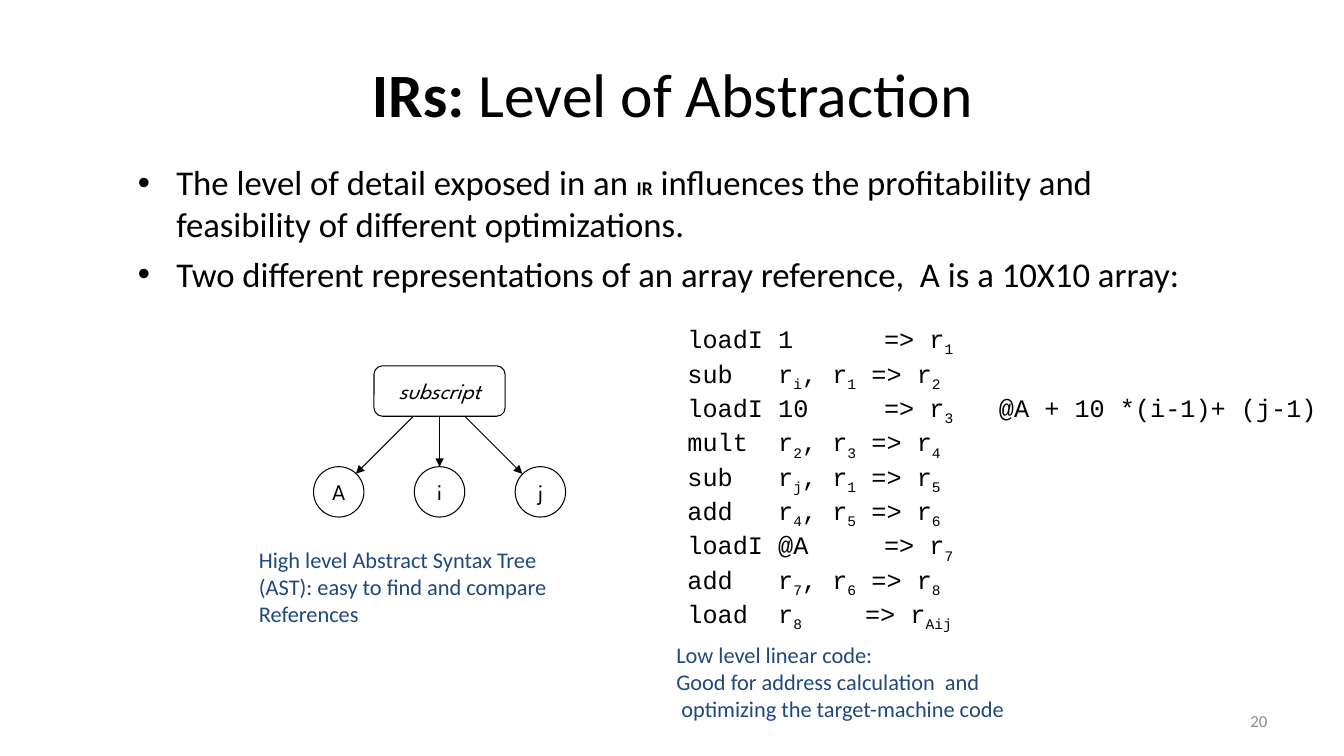
from lxml.etree import SubElement
from pptx import Presentation
from pptx.dml.color import RGBColor
from pptx.enum.shapes import MSO_CONNECTOR as Connector, MSO_SHAPE as Shape
from pptx.enum.text import MSO_ANCHOR as Anchor, MSO_AUTO_SIZE as AutoSize, PP_ALIGN as Align
from pptx.oxml.ns import qn
from pptx.util import Inches, Pt

COLORS = {"ink": "000000", "caption": "1F497D", "number": "8C8C8C"}
BODY, CODE, NODE = "Calibri", "Courier New", "League Spartan"


class Slide:
    """Holds the style and the current page."""

    def __init__(self, page):
        self.page = page

    def color(self, name):
        return RGBColor.from_string(COLORS[name])

    def style(self, font, size, name=BODY, color="ink"):
        font.size, font.name = Pt(size), name
        font.color.rgb = self.color(color)

    def text(self, at, paragraphs, size, name=BODY, color="ink", align=Align.LEFT,
             anchor=Anchor.TOP, wrap=True, grow=False, bullets=False):
        """Each paragraph is a list of (text, font settings) spans."""
        box = self.page.shapes.add_textbox(*map(Inches, at))
        frame = box.text_frame
        frame.word_wrap, frame.vertical_anchor = wrap, anchor
        frame.auto_size = AutoSize.SHAPE_TO_FIT_TEXT if grow else AutoSize.NONE
        for index, spans in enumerate(paragraphs):
            para = frame.add_paragraph() if index else frame.paragraphs[0]
            para.alignment = align
            if bullets:
                self.bullet(para)
                if index:
                    para.space_before = Pt(6)
            self.style(para.font, size, name, color)
            for content, settings in spans:
                span = para.add_run()
                span.text = content
                for key, value in settings.items():
                    if key == "baseline":
                        span.font._element.set(key, value)
                    else:
                        setattr(span.font, key, value)

    def bullet(self, para):
        properties = para._p.get_or_add_pPr()
        properties.set("marL", str(Inches(0.38)))
        properties.set("indent", str(Inches(-0.38)))
        SubElement(properties, qn("a:buFont"), typeface="Arial")
        SubElement(properties, qn("a:buChar"), char="•")

    def node(self, kind, at, label, italic=False):
        shape = self.page.shapes.add_shape(kind, *map(Inches, at))
        shape.shadow.inherit = False
        shape.fill.background()
        shape.line.color.rgb, shape.line.width = self.color("ink"), Pt(0.75)
        frame = shape.text_frame
        frame.word_wrap, frame.vertical_anchor = False, Anchor.MIDDLE
        para = frame.paragraphs[0]
        para.text, para.alignment = label, Align.CENTER
        self.style(para.font, 16, NODE)
        para.font.italic = italic

    def arrow(self, start, end):
        line = self.page.shapes.add_connector(
            Connector.STRAIGHT, *map(Inches, start + end))
        line.line.color.rgb, line.line.width = self.color("ink"), Pt(0.75)
        SubElement(line.line._get_or_add_ln(), qn("a:tailEnd"), type="triangle")
        SubElement(line._element.spPr, qn("a:effectLst"))


def plain(*lines):
    return [[(line, {})] for line in lines]


def code_spans(line):
    """Split a line at | marks; every second part is a subscript."""
    return [(part, {"baseline": "-25000"} if index % 2 else {})
            for index, part in enumerate(line.split("|")) if part]


def main():
    deck = Presentation()
    deck.slide_width, deck.slide_height = Inches(13.33), Inches(7.5)
    slide = Slide(deck.slides.add_slide(deck.slide_layouts[6]))

    # Title and bullets
    slide.text((0.67, 0.3, 12, 1.25),
               [[("IRs: ", {"bold": True}), ("Level of Abstraction", {})]],
               44, align=Align.CENTER, anchor=Anchor.MIDDLE)
    slide.text((1.27, 1.55, 10.91, 1.65), [
        [("The level of detail exposed in an ", {}),
         ("IR", {"size": Pt(13.9), "bold": True}),
         (" ", {"italic": True}),
         ("influences the profitability and feasibility of different optimizations.", {})],
        [("Two different representations of an array reference,  A is a 10X10 array:", {})],
    ], 24.8, bullets=True)

    # Syntax tree
    slide.node(Shape.ROUNDED_RECTANGLE, (3.71, 3.63, 1.3, 0.5), "subscript", italic=True)
    for index, label in enumerate("Aij"):
        slide.node(Shape.OVAL, (3.11 + index, 4.63, 0.5, 0.5), label)
    for start, end in (((4.36, 4.13), (4.36, 4.63)),
                       ((4.1, 4.13), (3.53, 4.7)),
                       ((4.61, 4.13), (5.18, 4.7))):
        slide.arrow(start, end)

    # Linear code and its address formula
    code = ("loadI 1     => r|1|",
            "sub   r|i|, r|1| => r|2|",
            "loadI 10    => r|3|",
            "mult  r|2|, r|3| => r|4|",
            "sub   r|j|, r|1| => r|5|",
            "add   r|4|, r|5| => r|6|",
            "loadI @A    => r|7|",
            "add   r|7|, r|6| => r|8|",
            "load  r|8  |   => r|Aij|")
    code = [line.replace("1     =>", "1      =>").replace("    => r|3", "     => r|3")
            .replace("@A    =>", "@A     =>") for line in code]
    slide.text((6.72, 3.16, 2.95, 2.8), [code_spans(line) for line in code],
               18, CODE, wrap=False, grow=True)
    slide.text((9.81, 3.84, 3.37, 0.4), plain("@A + 10 *(i-1)+ (j-1)"),
               18, CODE, wrap=False, grow=True)

    # Captions
    slide.text((2.47, 5.37, 3.41, 0.91),
               plain("High level Abstract Syntax Tree (AST): easy to find and compare",
                     "References"), 16, color="caption", grow=True)
    slide.text((6.61, 6.31, 4.28, 0.91),
               plain("Low level linear code:", "Good for address calculation  and",
                     " optimizing the target-machine code"),
               16, color="caption", grow=True)

    # Page number
    slide.text((9.56, 6.95, 3.11, 0.4), plain("20"), 12, color="number",
               align=Align.RIGHT, anchor=Anchor.MIDDLE)

    deck.save("out.pptx")


if __name__ == "__main__":
    main()
